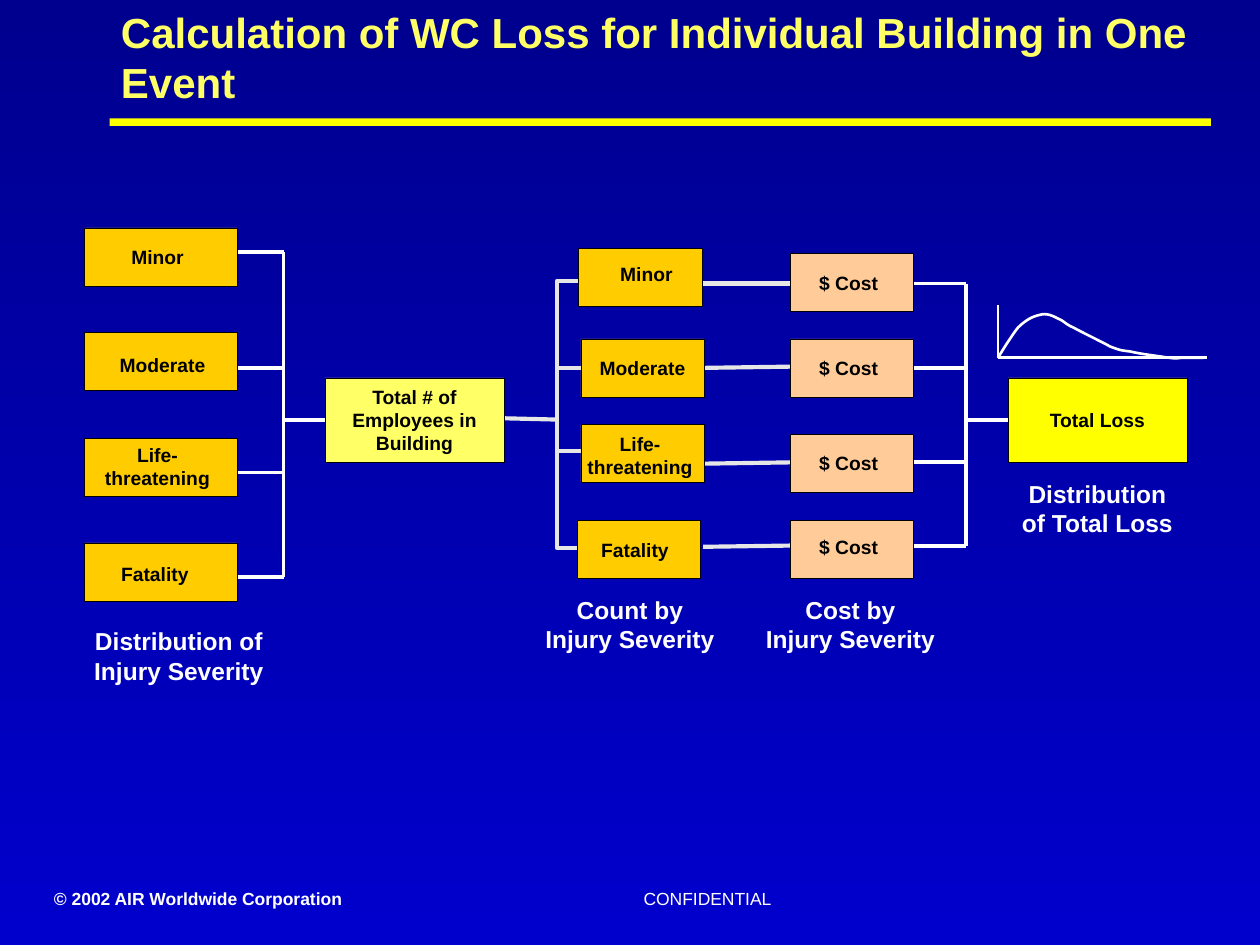
from lxml.etree import SubElement
from pptx import Presentation
from pptx.dml.color import RGBColor
from pptx.enum.shapes import MSO_CONNECTOR, MSO_SHAPE
from pptx.enum.text import MSO_ANCHOR, MSO_AUTO_SIZE, PP_ALIGN
from pptx.oxml.ns import qn
from pptx.util import Inches, Pt

WHITE, GREY, BLACK = "FFFFFF", "E6E6E6", "000000"
AMBER, PEACH, PALE_YELLOW, YELLOW = "FFCC00", "FFCC99", "FFFF66", "FFFF00"
BOX_HEIGHT = 0.46
LABEL_HEIGHT = 0.18
LABEL_WIDTHS = {"Minor": 0.42, "Moderate": 0.68, "Life-\vthreatening": 0.84,
                "Fatality": 0.54, "$ Cost": 0.47}


def color(value):
    return RGBColor.from_string(value)


def place(*lengths):
    return [Inches(length) for length in lengths]


def write(shape, text, size, ink, bold=True, align=PP_ALIGN.CENTER,
          margins=(0.1, 0.05), **frame_format):
    frame = shape.text_frame
    side, edge = place(*margins)
    settings = {"margin_left": side, "margin_right": side, "margin_top": edge,
                "margin_bottom": edge, "word_wrap": True,
                "auto_size": MSO_AUTO_SIZE.NONE} | frame_format
    for name, value in settings.items():
        setattr(frame, name, value)
    frame.text = text
    paragraph = frame.paragraphs[0]
    paragraph.alignment = align
    for name, value in {"name": "Arial", "size": Pt(size), "bold": bold}.items():
        setattr(paragraph.font, name, value)
    paragraph.font.color.rgb = color(ink)


def add_text(slide, box, text, size, ink, **options):
    write(slide.shapes.add_textbox(*place(*box)), text, size, ink, **options)


def add_box(slide, box, fill, outline=BLACK):
    shape = slide.shapes.add_shape(MSO_SHAPE.RECTANGLE, *place(*box))
    shape.shadow.inherit = False
    shape.fill.solid()
    shape.fill.fore_color.rgb = color(fill)
    if outline:
        shape.line.color.rgb = color(outline)
        shape.line.width = Pt(0.25)
    else:
        shape.line.fill.background()
    return shape


def add_line(slide, start, end, ink=WHITE, width=2.25):
    line = slide.shapes.add_connector(MSO_CONNECTOR.STRAIGHT, *place(*start, *end))
    line.line.color.rgb = color(ink)
    line.line.width = Pt(width)
    SubElement(line._element.spPr, qn("a:effectLst"))


def add_outline(slide, points, ink, width):
    """Draw an open, unfilled polyline."""
    start, *others = [place(*point) for point in points]
    builder = slide.shapes.build_freeform(*start)
    builder.add_line_segments(others, close=False)
    shape = builder.convert_to_shape()
    shape.shadow.inherit = False
    shape.fill.background()
    shape.line.color.rgb = color(ink)
    shape.line.width = Pt(width)


def add_comb(slide, left, right, rows, hub_y, hub_right):
    """Gather horizontal branches into a spine that leads on to the next box."""
    for y in rows:
        add_line(slide, (left, y), (right, y))
    add_line(slide, (right, rows[0]), (right, rows[-1]))
    add_line(slide, (right, hub_y), (hub_right, hub_y))


def add_column(slide, left, top, width, fill, items):
    """Stack labelled boxes; each item is a text, box offset and label offset."""
    for text, (box_x, box_y), (label_x, label_y) in items:
        add_box(slide, (left + box_x, top + box_y, width, BOX_HEIGHT), fill)
        height = LABEL_HEIGHT * (text.count("\v") + 1)
        label = (left + label_x, top + label_y, LABEL_WIDTHS[text], height)
        add_text(slide, label, text, 11, BLACK, margins=(0, 0), word_wrap=False)


def add_total(slide, box, text, fill):
    write(add_box(slide, box, fill), text, 11, BLACK,
          vertical_anchor=MSO_ANCHOR.MIDDLE)


def add_caption(slide, left, top, width, text):
    add_text(slide, (left, top, width, 0.57), text, 14, WHITE)


def bezier(start, control_1, control_2, end, steps=8):
    """Return the points after the start of a cubic curve."""
    def at(t):
        weights = ((1 - t) ** 3, 3 * t * (1 - t) ** 2, 3 * t ** 2 * (1 - t), t ** 3)
        corners = (start, control_1, control_2, end)
        return tuple(sum(w * c[axis] for w, c in zip(weights, corners))
                     for axis in (0, 1))
    return [at(step / steps) for step in range(1, steps + 1)]


def add_loss_curve(slide, left, top, width, height):
    """Draw the axes and the skewed loss density above the total."""
    base = top + height
    add_line(slide, (left, top), (left, base), width=1.5)
    add_line(slide, (left, base), (left + width, base), width=1.5)
    segments = [
        ((0.02, 0.39), (0.11, 0.24), (0.16, 0.18)),
        ((0.22, 0.12), (0.28, 0.09), (0.33, 0.08)),
        ((0.39, 0.06), (0.44, 0.09), (0.48, 0.11)),
        ((0.53, 0.13), (0.53, 0.15), (0.60, 0.18)),
        ((0.67, 0.22), (0.82, 0.29), (0.89, 0.33)),
        ((0.97, 0.36), (0.97, 0.36), (1.05, 0.37)),
        ((1.13, 0.39), (1.30, 0.41), (1.36, 0.42)),
        ((1.43, 0.43), (1.43, 0.42), (1.47, 0.42)),
        ((1.51, 0.42), (1.57, 0.42), (1.63, 0.42)),
    ]
    points = [(0, height)]
    for segment in segments:
        points += bezier(points[-1], *segment)
    add_outline(slide, [(left + x, top + y) for x, y in points], WHITE, 1.5)


def add_severity_distribution(slide, left, top):
    rows = [top + y for y in (0.19, 1.11, 1.94, 2.77)]
    add_comb(slide, left + 1.16, left + 1.58, rows, top + 1.52, left + 1.91)
    add_column(slide, left, top, 1.21, AMBER, [
        ("Minor", (0, 0), (0.37, 0.14)),
        ("Moderate", (0, 0.83), (0.28, 0.99)),
        ("Life-\vthreatening", (0, 1.67), (0.16, 1.71)),
        ("Fatality", (0, 2.5), (0.29, 2.65))])
    add_caption(slide, left - 0.25, top + 3.11, 2, "Distribution of Injury Severity")


def add_severity_counts(slide, left, top):
    spine, inner = left - 0.16, left + 0.09
    add_outline(slide, [(inner, top + 0.26), (spine, top + 0.26),
                        (spine, top + 2.38), (inner, top + 2.38)], GREY, 2.38)
    for y in (0.95, 1.61):
        add_line(slide, (inner, top + y), (spine, top + y), GREY, 2.38)
    add_line(slide, (spine, top + 1.36), (spine - 0.42, top + 1.35), GREY, 2.38)
    for cost_y, count_y in ((0.28, 0.28), (0.94, 0.95), (1.7, 1.71), (2.36, 2.37)):
        add_line(slide, (left + 1.69, top + cost_y), (left + 1, top + count_y),
                 GREY, 2.38)
    add_column(slide, left, top, 0.98, AMBER, [
        ("Minor", (0.01, 0), (0.34, 0.11)),
        ("Moderate", (0.03, 0.72), (0.18, 0.86)),
        ("Life-\vthreatening", (0.03, 1.4), (0.08, 1.46)),
        ("Fatality", (0, 2.16), (0.19, 2.3))])
    add_caption(slide, left - 0.58, top + 2.7, 2, "Count by\vInjury Severity")


def add_severity_costs(slide, left, top):
    rows = [top + y for y in (0.24, 0.91, 1.66, 2.32)]
    add_comb(slide, left + 0.98, left + 1.4, rows, top + 1.32, left + 1.73)
    offsets = ((0, 0.14), (0.68, 0.82), (1.44, 1.57), (2.12, 2.24))
    add_column(slide, left, top, 0.98, PEACH, [
        ("$ Cost", (0, box_y), (0.23, label_y)) for box_y, label_y in offsets])
    add_caption(slide, left - 0.52, top + 2.66, 2, "Cost by\vInjury Severity")


def add_total_loss(slide, left, top):
    add_total(slide, (left, top, 1.42, 0.67), "Total Loss", YELLOW)
    add_caption(slide, left - 0.08, top + 0.75, 1.58, "Distribution\vof Total Loss")
    add_loss_curve(slide, left - 0.08, top - 0.58, 1.66, 0.42)


def add_frame(slide, title):
    """Set the background, title, rule and footer."""
    fill = slide.background.fill
    fill.gradient()
    fill.gradient_angle = 270
    for stop, value in zip(fill.gradient_stops, ("00008E", "0000CC")):
        stop.color.rgb = color(value)
    heading = slide.shapes.title
    heading.left, heading.top, heading.width, heading.height = place(0.86, 0, 8.81, 0.9)
    write(heading, title, 24, PALE_YELLOW, align=PP_ALIGN.LEFT,
          vertical_anchor=MSO_ANCHOR.MIDDLE)
    add_box(slide, (0.87, 0.94, 8.74, 0.06), YELLOW, outline=None)
    add_text(slide, (0.33, 7, 2.61, 0.27), "© 2002 AIR Worldwide Corporation",
             10, WHITE, align=PP_ALIGN.LEFT)
    add_text(slide, (5.01, 7, 1.21, 0.27), "CONFIDENTIAL", 10, WHITE,
             bold=False, word_wrap=False)


def main():
    presentation = Presentation()
    presentation.slide_width, presentation.slide_height = place(10, 7.5)
    slide = presentation.slides.add_slide(presentation.slide_layouts[5])
    add_frame(slide, "Calculation of WC Loss for Individual Building in One Event")
    add_severity_distribution(slide, 0.67, 1.81)
    add_severity_counts(slide, 4.58, 1.97)
    add_severity_costs(slide, 6.27, 2.01)
    add_total(slide, (2.58, 3, 1.42, 0.67), "Total # of Employees in Building",
              PALE_YELLOW)
    add_total_loss(slide, 8, 3)
    presentation.save("out.pptx")


if __name__ == "__main__":
    main()
